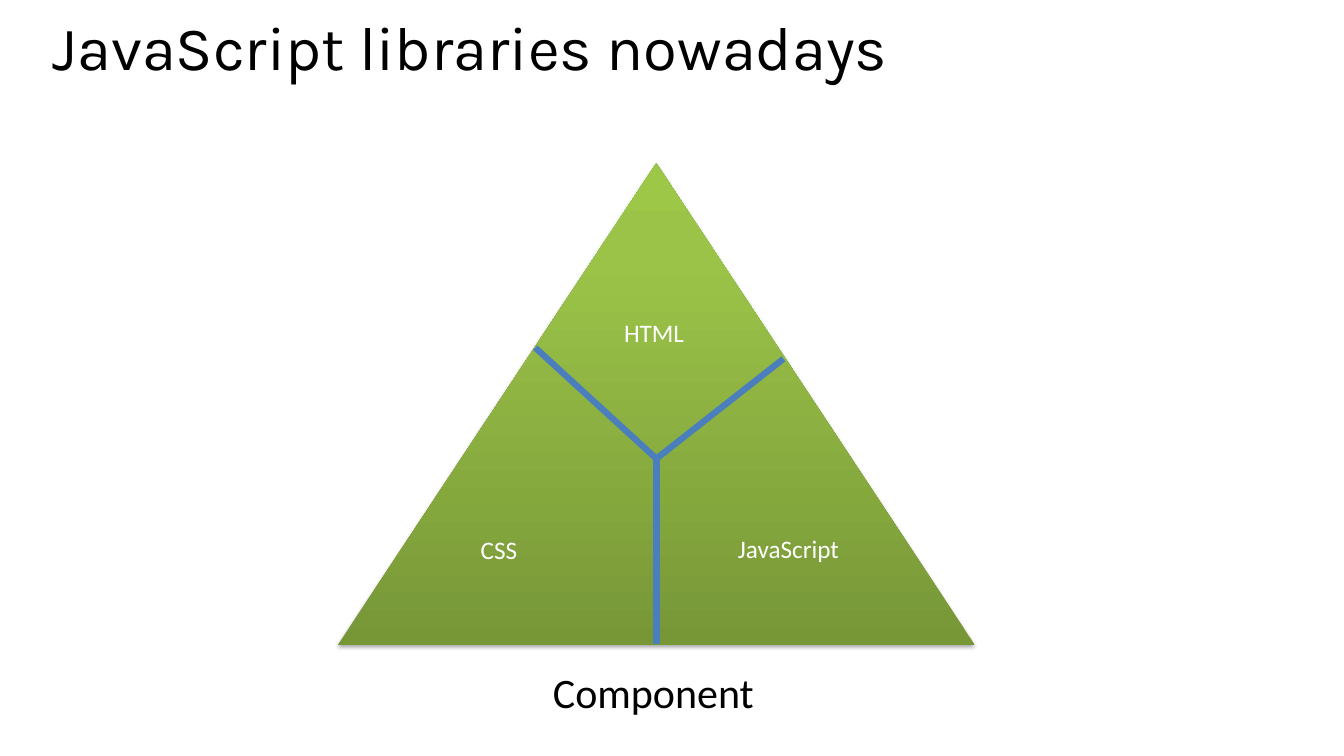
from dataclasses import dataclass

from lxml.etree import SubElement
from pptx import Presentation
from pptx.dml.color import RGBColor
from pptx.enum.shapes import MSO_CONNECTOR as Connector
from pptx.enum.shapes import MSO_SHAPE as Shape
from pptx.enum.text import MSO_ANCHOR as Anchor
from pptx.enum.text import MSO_AUTO_SIZE as AutoSize
from pptx.enum.text import PP_ALIGN as Align
from pptx.oxml.ns import qn
from pptx.slide import Slide
from pptx.util import Inches, Pt

BLACK = RGBColor(0x00, 0x00, 0x00)
WHITE = RGBColor(0xFF, 0xFF, 0xFF)
BLUE = RGBColor(0x4B, 0x7E, 0xBC)
DARK_GREEN = RGBColor(0x77, 0x97, 0x37)
MID_GREEN = RGBColor(0x9B, 0xC3, 0x48)
LIGHT_GREEN = RGBColor(0x9D, 0xC7, 0x46)

SLIDE_WIDTH = Inches(13.33)
SLIDE_HEIGHT = Inches(7.5)
TITLE_ONLY = 5


@dataclass(frozen=True)
class Box:
    """Left, top, width and height in percent of the slide."""

    left: float
    top: float
    width: float
    height: float

    def lengths(self) -> tuple[int, int, int, int]:
        return (across(self.left), down(self.top),
                across(self.width), down(self.height))


@dataclass(frozen=True)
class Label:
    text: str
    box: Box
    size: int = 18
    color: RGBColor = WHITE
    align: Align = Align.LEFT


@dataclass(frozen=True)
class Point:
    """A place in percent of the slide."""

    x: float
    y: float


TITLE_BOX = Box(3.15, 2.4, 94.52, 15.47)
TRIANGLE_BOX = Box(25.13, 21.6, 47.41, 63.73)
GRADIENT = ((0, DARK_GREEN), (80, MID_GREEN), (100, LIGHT_GREEN))

LABELS = (
    Label("HTML", Box(45.69, 41.33, 11.03, 5.33)),
    Label("CSS", Box(35.03, 70, 11.03, 5.33)),
    Label("JavaScript", Box(54.16, 69.87, 11.03, 5.33)),
    Label("Component", Box(34.21, 87.47, 28.81, 8.13), 30, BLACK, Align.CENTER),
)

CENTER = Point(48.84, 60.67)
DIVIDER_ENDS = (Point(48.84, 85.2), Point(39.83, 46), Point(58.29, 47.47))


def across(percent: float) -> int:
    return round(SLIDE_WIDTH * percent / 100)


def down(percent: float) -> int:
    return round(SLIDE_HEIGHT * percent / 100)


def format_text(paragraph, font_name: str, size: int, color: RGBColor) -> None:
    for run in paragraph.runs:
        run.font.name = font_name
        run.font.size = Pt(size)
        run.font.color.rgb = color


def add_title(slide: Slide, text: str) -> None:
    title = slide.shapes.title
    title.left, title.top, title.width, title.height = TITLE_BOX.lengths()
    frame = title.text_frame
    frame.text = text
    frame.word_wrap = True
    frame.auto_size = AutoSize.NONE
    frame.vertical_anchor = Anchor.TOP
    paragraph = frame.paragraphs[0]
    paragraph.alignment = Align.LEFT
    paragraph.line_spacing = 0.8
    format_text(paragraph, "Karla", 44, BLACK)


def add_triangle(slide: Slide) -> None:
    triangle = slide.shapes.add_shape(
        Shape.ISOSCELES_TRIANGLE, *TRIANGLE_BOX.lengths())
    triangle.line.fill.background()
    triangle.fill.gradient()
    triangle.fill.gradient_angle = 90
    properties = triangle.element.spPr

    # Three gradient stops, dark at the base
    stops = properties.find(".//" + qn("a:gsLst"))
    stops.clear()
    for position, color in GRADIENT:
        stop = SubElement(stops, qn("a:gs"), pos=str(position * 1000))
        SubElement(stop, qn("a:srgbClr"), val=str(color))

    # Soft shadow straight below
    triangle.shadow.inherit = False
    shadow = SubElement(
        properties.find(qn("a:effectLst")), qn("a:outerShdw"),
        blurRad=str(Pt(3.1)), dist=str(Pt(1.8)), dir="5400000", rotWithShape="0")
    shadow_color = SubElement(shadow, qn("a:srgbClr"), val=str(BLACK))
    SubElement(shadow_color, qn("a:alpha"), val="35000")


def add_label(slide: Slide, label: Label) -> None:
    frame = slide.shapes.add_textbox(*label.box.lengths()).text_frame
    frame.text = label.text
    frame.word_wrap = True
    frame.auto_size = AutoSize.SHAPE_TO_FIT_TEXT
    paragraph = frame.paragraphs[0]
    paragraph.alignment = label.align
    format_text(paragraph, "Calibri", label.size, label.color)


def add_divider(slide: Slide, end: Point) -> None:
    divider = slide.shapes.add_connector(
        Connector.STRAIGHT, across(CENTER.x), down(CENTER.y),
        across(end.x), down(end.y))
    divider.line.color.rgb = BLUE
    divider.line.width = Pt(4.5)
    SubElement(divider.element.spPr, qn("a:effectLst"))


def main() -> None:
    presentation = Presentation()
    presentation.slide_width = SLIDE_WIDTH
    presentation.slide_height = SLIDE_HEIGHT
    slide = presentation.slides.add_slide(presentation.slide_layouts[TITLE_ONLY])

    add_title(slide, "JavaScript libraries nowadays")
    add_triangle(slide)
    # Dividers meet at the centre of the triangle
    for end in DIVIDER_ENDS:
        add_divider(slide, end)
    for label in LABELS:
        add_label(slide, label)

    presentation.save("out.pptx")


if __name__ == "__main__":
    main()
